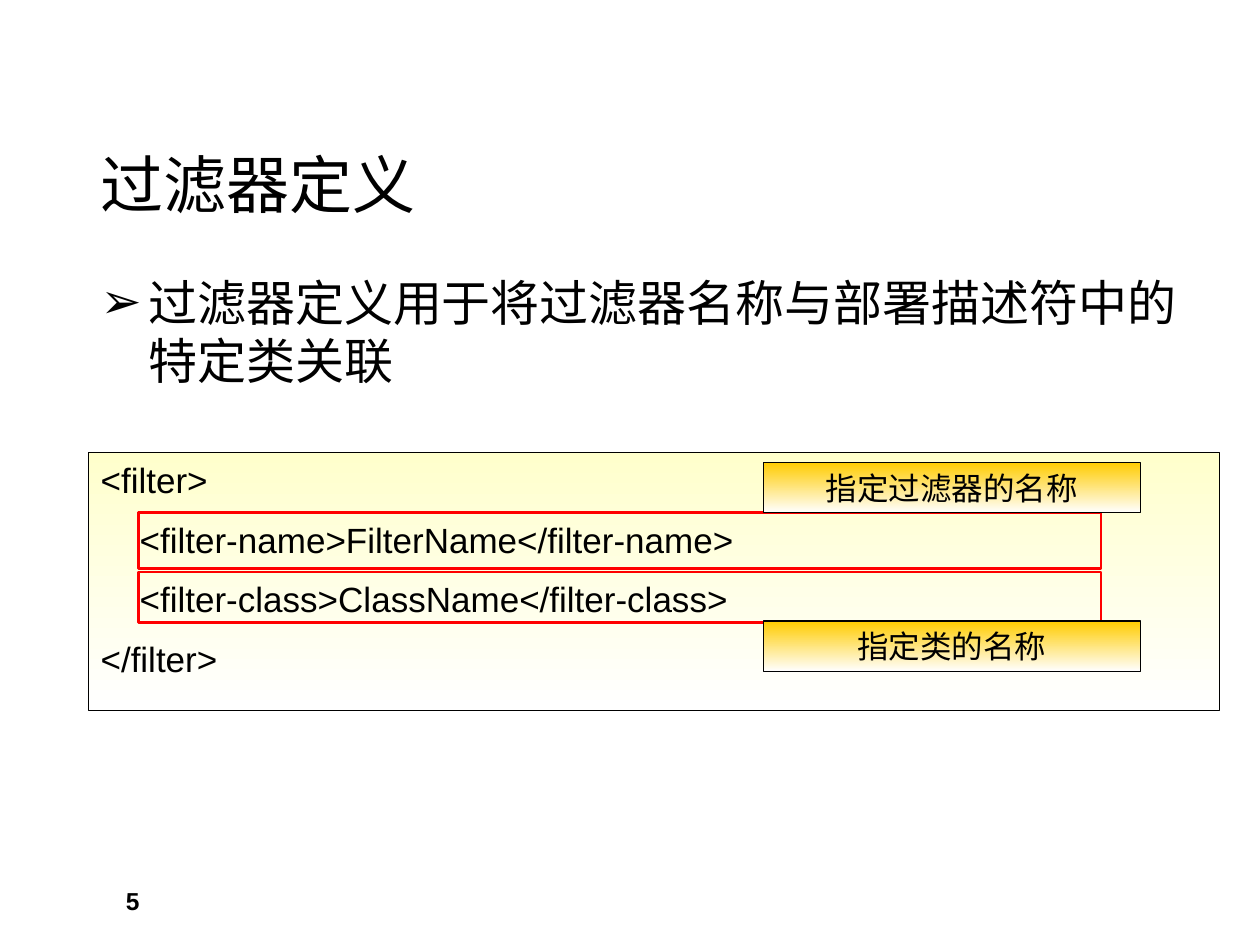
from lxml import etree
from pptx import Presentation
from pptx.dml.color import RGBColor
from pptx.enum.shapes import MSO_SHAPE
from pptx.enum.text import MSO_ANCHOR, PP_ALIGN
from pptx.oxml.ns import qn
from pptx.util import Inches, Pt

RECT = MSO_SHAPE.RECTANGLE
TOP, MIDDLE = MSO_ANCHOR.TOP, MSO_ANCHOR.MIDDLE
LEFT, CENTER = PP_ALIGN.LEFT, PP_ALIGN.CENTER
BLACK = RGBColor(0x00, 0x00, 0x00)
WHITE = RGBColor(0xFF, 0xFF, 0xFF)
CREAM = RGBColor(0xFF, 0xFF, 0xCC)
GOLD = RGBColor(0xFF, 0xCC, 0x00)
RED = RGBColor(0xFF, 0x00, 0x00)
SANS, HAN, BODY = "Arial", "Noto Sans CJK SC", "DejaVu Sans"


def add_run(para, text, size, font, bold=False):
    run = para.add_run()
    run.text = text
    run.font.size = Pt(size)
    run.font.name = font
    run.font.bold = bold
    run.font.color.rgb = BLACK
    east = etree.SubElement(run._r.get_or_add_rPr(), qn("a:ea"))
    east.set("typeface", font)


def set_frame(shape, anchor):
    frame = shape.text_frame
    frame.word_wrap = True
    frame.vertical_anchor = anchor
    return frame


def add_text(slide, box, text, size, font, anchor=TOP, bold=False):
    shape = slide.shapes.add_textbox(*map(Inches, box))
    para = set_frame(shape, anchor).paragraphs[0]
    add_run(para, text, size, font, bold)
    return para


def add_box(slide, box, line, width, tint=None):
    """Draw a rectangle, faded from tint to white or left open."""
    shape = slide.shapes.add_shape(RECT, *map(Inches, box))
    shape.shadow.inherit = False
    shape.line.color.rgb = line
    shape.line.width = Pt(width)
    if tint is None:
        shape.fill.background()
        return shape
    shape.fill.gradient()
    shape.fill.gradient_angle = 270
    for stop, color, place in zip(shape.fill.gradient_stops, (tint, WHITE), (0, 1)):
        stop.color.rgb = color
        stop.position = place
    return shape


def add_bullet(slide, box, text):
    para = add_text(slide, box, text, 28, BODY)
    para.space_before = Pt(7)
    props = para._p.get_or_add_pPr()
    props.set("marL", str(Inches(0.38)))
    props.set("indent", str(-Inches(0.38)))
    etree.SubElement(props, qn("a:buFont")).set("typeface", SANS)
    etree.SubElement(props, qn("a:buChar")).set("char", "➢")


def add_label(slide, box, text):
    para = set_frame(add_box(slide, box, BLACK, 0.75, GOLD), MIDDLE).paragraphs[0]
    para.alignment = CENTER
    add_run(para, text, 18, SANS)


def add_code(slide, box):
    """Draw the listing with its two marked lines and their labels."""
    x, y, _, _ = box
    frame = set_frame(add_box(slide, box, BLACK, 0.75, CREAM), TOP)
    lines = (
        ("<filter>", 0),
        ("<filter-name>FilterName</filter-name>", 0.31),
        ("<filter-class>ClassName</filter-class>", 0.31),
        ("</filter>", 0),
    )
    for i, (text, indent) in enumerate(lines):
        para = frame.add_paragraph() if i else frame.paragraphs[0]
        para.alignment = LEFT
        para.space_before = para.space_after = Pt(5)
        para._p.get_or_add_pPr().set("marL", str(Inches(indent)))
        add_run(para, text, 20, SANS)

    # Red marks, each with a gold label: mark top, mark height, label top
    marks = (
        (0.48, 0.44, 0.08, "指定过滤器的名称"),
        (0.95, 0.4, 1.34, "指定类的名称"),
    )
    for top, high, tag, text in marks:
        add_box(slide, (x + 0.4, y + top, 7.64, high), RED, 1.5)
        add_label(slide, (x + 5.36, y + tag, 2.99, 0.4), text)


def main():
    deck = Presentation()
    deck.slide_width, deck.slide_height = Inches(10), Inches(7.5)
    slide = deck.slides.add_slide(deck.slide_layouts[6])

    # Page number, title, body and listing
    add_text(slide, (0.9, 6.98, 2.33, 0.31), "5", 14, SANS, bold=True)
    add_text(slide, (0.7, 1.02, 9, 0.87), "过滤器定义", 36, HAN, MIDDLE)
    add_bullet(slide, (0.7, 2.11, 9, 1.1),
               "过滤器定义用于将过滤器名称与部署描述符中的特定类关联")
    add_code(slide, (0.7, 3.59, 8.98, 2.05))
    deck.save("out.pptx")


if __name__ == "__main__":
    main()
